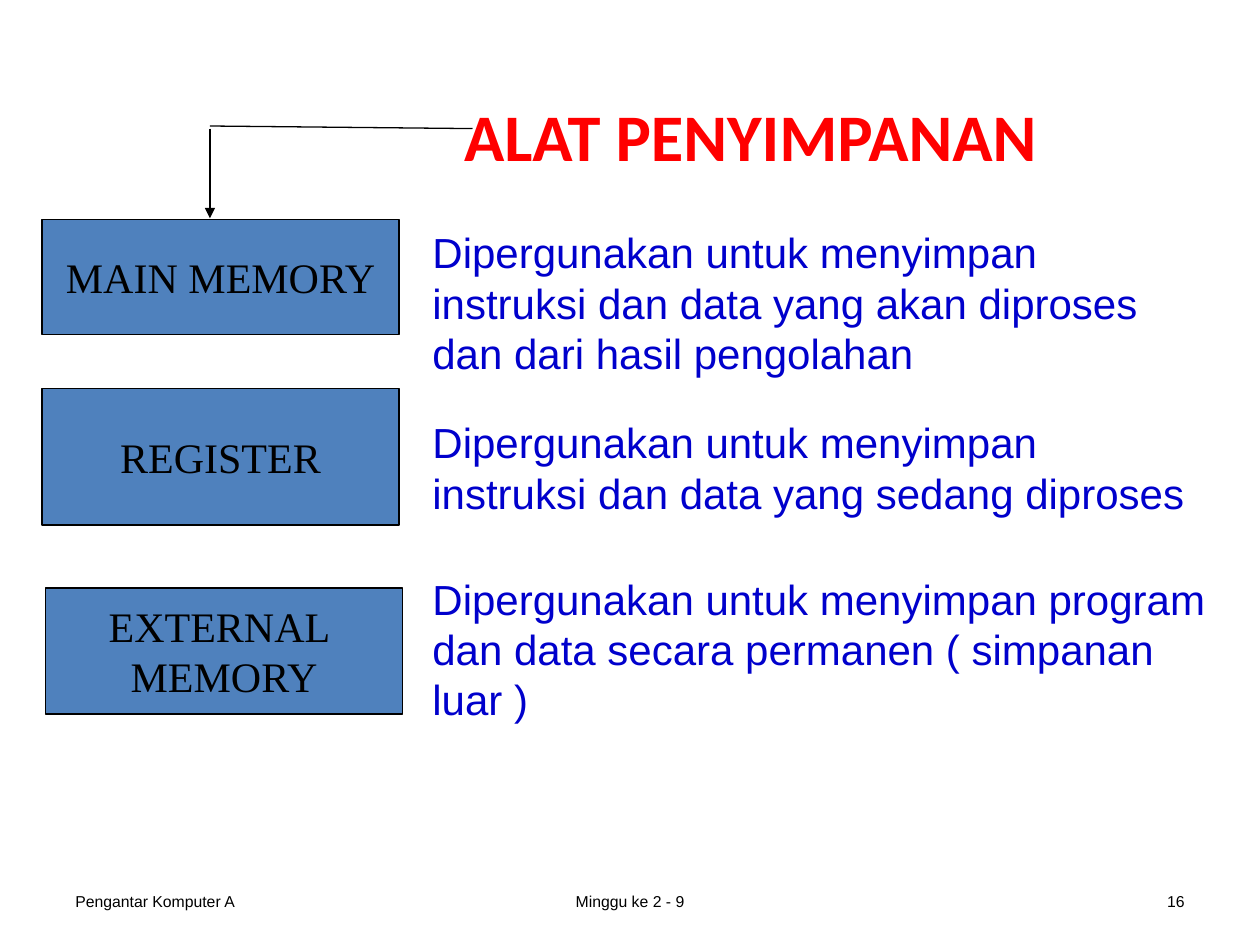
from lxml import etree
from pptx import Presentation
from pptx.dml.color import RGBColor
from pptx.enum import shapes, text
from pptx.oxml import ns
from pptx.util import Pt

COLORS = {"title": "FF0000", "ink": "000000", "box": "4F81BD", "note": "0000CC"}
LEFT, CENTER, RIGHT = (text.PP_ALIGN.LEFT, text.PP_ALIGN.CENTER,
                       text.PP_ALIGN.RIGHT)
TOP, MIDDLE = text.MSO_ANCHOR.TOP, text.MSO_ANCHOR.MIDDLE

# Each memory: label, box (left, top, height), description, its (top, width, height)
MEMORIES = [
    ("MAIN MEMORY", (24, 125.3, 66),
     "Dipergunakan untuk menyimpan instruksi dan data yang akan diproses "
     "dan dari hasil pengolahan", (126, 450, 94.5)),
    ("REGISTER", (24, 222, 78),
     "Dipergunakan untuk menyimpan instruksi dan data yang sedang diproses",
     (234.5, 450, 65.5)),
    ("EXTERNAL \nMEMORY", (26, 336, 72),
     "Dipergunakan untuk menyimpan program dan data secara permanen "
     "( simpanan luar )", (324, 456, 94.5)),
]
FOOTERS = [
    ("Pengantar Komputer A", 36, 168, LEFT),
    ("Minggu ke 2 - 9", 246, 228, CENTER),
    ("16", 516, 168, RIGHT),
]


def rgb(name):
    return RGBColor.from_string(COLORS[name])


def write(shape, words, size, font, color, align=LEFT, anchor=TOP,
          wrap=True, bold=False):
    """Fill a shape's text frame and format every run alike."""
    frame = shape.text_frame
    frame.text = words
    frame.word_wrap = wrap
    frame.vertical_anchor = anchor
    for paragraph in frame.paragraphs:
        paragraph.alignment = align
        for run in paragraph.runs:
            run.font.size = Pt(size)
            run.font.name = font
            run.font.bold = bold
            run.font.color.rgb = rgb(color)


def add_label(slide, words, left, top, width, height, *style, **options):
    label = slide.shapes.add_textbox(Pt(left), Pt(top), Pt(width), Pt(height))
    write(label, words, *style, **options)
    return label


def add_memory_box(slide, words, left, top, height):
    box = slide.shapes.add_shape(shapes.MSO_SHAPE.RECTANGLE,
                                 Pt(left), Pt(top), Pt(204), Pt(height))
    box.shadow.inherit = False
    box.fill.solid()
    box.fill.fore_color.rgb = rgb("box")
    box.line.color.rgb = rgb("ink")
    box.line.width = Pt(0.75)
    write(box, words, 24, "Times New Roman", "ink", CENTER, MIDDLE, wrap=False)


def add_line(slide, start, end, arrow=False):
    line = slide.shapes.add_connector(
        shapes.MSO_CONNECTOR.STRAIGHT, *map(Pt, start + end))
    line.line.color.rgb = rgb("ink")
    line.line.width = Pt(0.75)
    if arrow:
        etree.SubElement(line.line._get_or_add_ln(), ns.qn("a:tailEnd"),
                         type="triangle")
    etree.SubElement(line._element.spPr, ns.qn("a:effectLst"))


def main():
    deck = Presentation()
    deck.slide_width, deck.slide_height = Pt(720), Pt(540)
    slide = deck.slides.add_slide(deck.slide_layouts[6])

    for words, left, width, align in FOOTERS:
        add_label(slide, words, left, 500.5, width, 28.75,
                  9, "Arial", "ink", align, MIDDLE)
    add_label(slide, "ALAT PENYIMPANAN", 228, 41, 402, 72,
              38, "Calibri", "title", CENTER, MIDDLE, bold=True)

    for label, box, description, (top, width, height) in MEMORIES:
        add_memory_box(slide, label, *box)
        note = add_label(slide, description, 240, top, width, height,
                         24, "Arial", "note")
        note.text_frame.auto_size = text.MSO_AUTO_SIZE.SHAPE_TO_FIT_TEXT

    add_line(slide, (270, 73.5), (120, 72))
    add_line(slide, (120, 73.5), (120, 124.75), arrow=True)
    deck.save("out.pptx")


if __name__ == "__main__":
    main()
